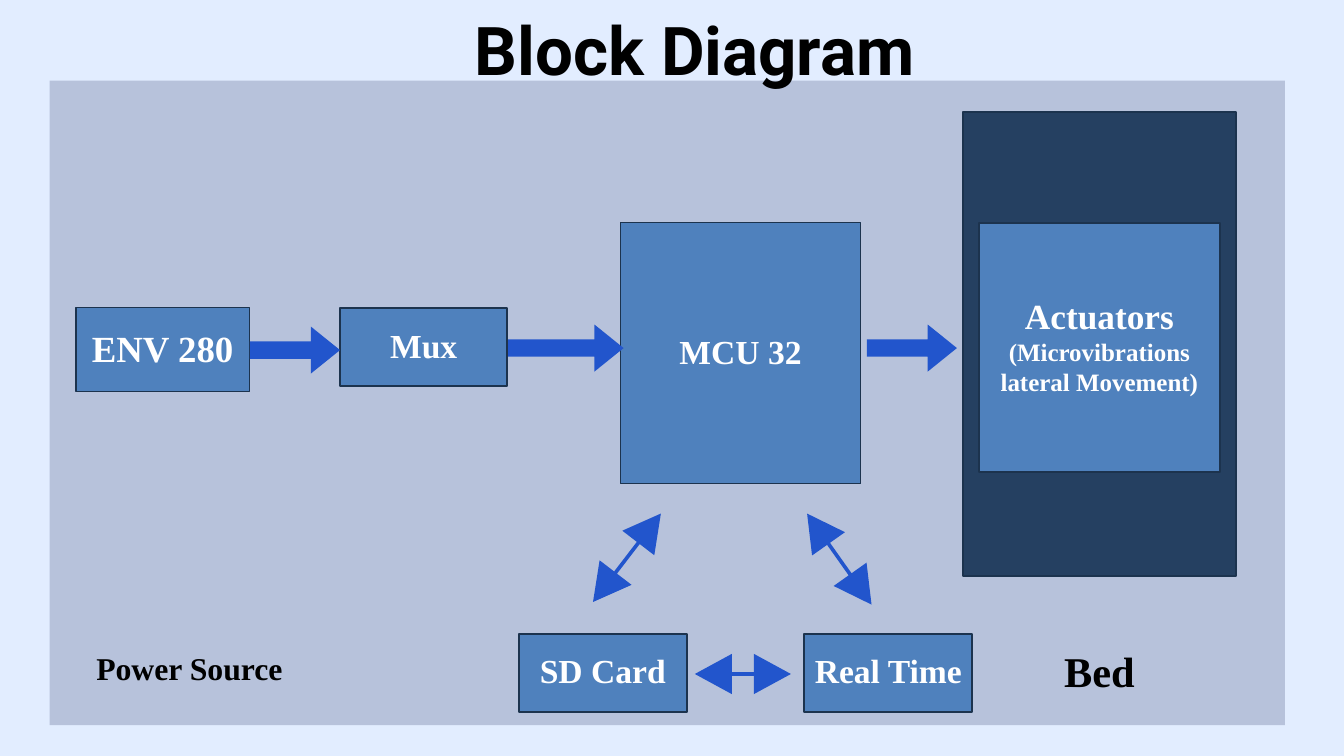
from pptx import Presentation
from pptx.dml.color import RGBColor
from pptx.enum.shapes import MSO_SHAPE
from pptx.enum.text import MSO_ANCHOR, PP_ALIGN
from pptx.util import Inches, Pt

THEME = {
    "background": "E2EDFF", "panel": "B7C2DB", "bed": "254061",
    "block": "4F81BD", "outline": "1C334E", "arrow": "2255CC",
    "light": "FFFFFF", "dark": "000000",
    "title_font": "Roboto", "body_font": "Times New Roman",
    "title": 72, "bed_label": 45.4, "sensor": 39.5, "actuator": 37.8,
    "label": 36, "power": 34, "detail": 26.8,
}


def add_block(kind, box, fill, outline=None):
    s = slide.shapes.add_shape(kind, *[Inches(v) for v in box])
    s.shadow.inherit = False
    s.fill.solid()
    s.fill.fore_color.rgb = RGBColor.from_string(THEME[fill])
    if outline:
        s.line.color.rgb = RGBColor.from_string(THEME["outline"])
        s.line.width = Pt(outline)
    else:
        s.line.fill.background()
    return s


def write(s, lines, color, font="body_font", anchor=MSO_ANCHOR.MIDDLE, inset=0.0, bottom=0.0):
    tf = s.text_frame
    frame = {"word_wrap": True, "vertical_anchor": anchor,
             "margin_left": Inches(inset), "margin_right": Inches(inset),
             "margin_top": Inches(inset), "margin_bottom": Inches(bottom)}
    for name, value in frame.items():
        setattr(tf, name, value)
    for i, (text, size) in enumerate(lines):
        p = tf.paragraphs[0] if i == 0 else tf.add_paragraph()
        p.alignment = PP_ALIGN.CENTER
        p.space_before = Pt(0)
        p.line_spacing = Pt(round(THEME[size] * 1.2, 1))
        r = p.add_run()
        r.text = text
        for name, value in {"name": THEME[font], "size": Pt(THEME[size]), "bold": True}.items():
            setattr(r.font, name, value)
        r.font.color.rgb = RGBColor.from_string(THEME[color])


prs = Presentation()
prs.slide_width, prs.slide_height = Inches(20), Inches(11.25)
slide = prs.slides.add_slide(prs.slide_layouts[5])
slide.background.fill.solid()
slide.background.fill.fore_color.rgb = RGBColor.from_string(THEME["background"])

# Panel behind the diagram
panel = add_block(MSO_SHAPE.RECTANGLE, (0.74, 1.2, 18.38, 9.59), "panel")

# Title, in front of the panel
title = slide.shapes.title
panel._element.addnext(title._element)
title.left, title.top, title.width, title.height = [Inches(v) for v in (2.97, 0.12, 14.74, 1.99)]
write(title, [("Block Diagram", "title")], "dark", "title_font", MSO_ANCHOR.TOP)

# Bed and the labelled blocks
add_block(MSO_SHAPE.RECTANGLE, (14.33, 1.67, 4.07, 6.9), "bed", 2)
blocks = [
    ((14.57, 3.32, 3.58, 3.7), 2, [("Actuators", "actuator"),
                                   ("(Microvibrations", "detail"),
                                   ("lateral Movement)", "detail")]),
    ((1.13, 4.58, 2.58, 1.25), 1.4, [("ENV 280", "sensor")]),
    ((9.23, 3.31, 3.58, 3.89), 1.2, [("MCU 32", "label")]),
    ((5.06, 4.59, 2.49, 1.16), 2, [("Mux", "label")]),
    ((7.72, 9.43, 2.5, 1.16), 2, [("SD Card", "label")]),
    ((11.97, 9.43, 2.5, 1.16), 2, [("Real Time", "label")]),
]
for box, outline, lines in blocks:
    s = add_block(MSO_SHAPE.RECTANGLE, box, "block", outline)
    write(s, lines, "light", inset=0.05, bottom=0.12)

# One-way arrows along the main chain
for left, top, width in [(3.72, 4.86, 1.34), (7.56, 4.83, 1.72), (12.9, 4.83, 1.34)]:
    s = add_block(MSO_SHAPE.RIGHT_ARROW, (left, top, width, 0.7), "arrow")
    s.adjustments[0], s.adjustments[1] = 0.37, 0.62

# Two-way arrows between controller, card and clock
for left, top, width, head, angle in [(10.34, 9.73, 1.43, 0.92, 0),
                                      (8.5, 8, 1.66, 0.92, 307.5),
                                      (11.66, 8.02, 1.66, 0.92, 54.7)]:
    s = add_block(MSO_SHAPE.LEFT_RIGHT_ARROW, (left, top, width, 0.6), "arrow")
    s.adjustments[0], s.adjustments[1] = 0.09, head
    s.rotation = angle

# Free labels
for box, text, size in [((1.23, 9.66, 3.18, 0.63), "Power Source", "power"),
                        ((14.31, 9.6, 4.1, 0.76), "Bed", "bed_label")]:
    s = slide.shapes.add_textbox(*[Inches(v) for v in box])
    write(s, [(text, size)], "dark", anchor=MSO_ANCHOR.TOP)

prs.save("out.pptx")
